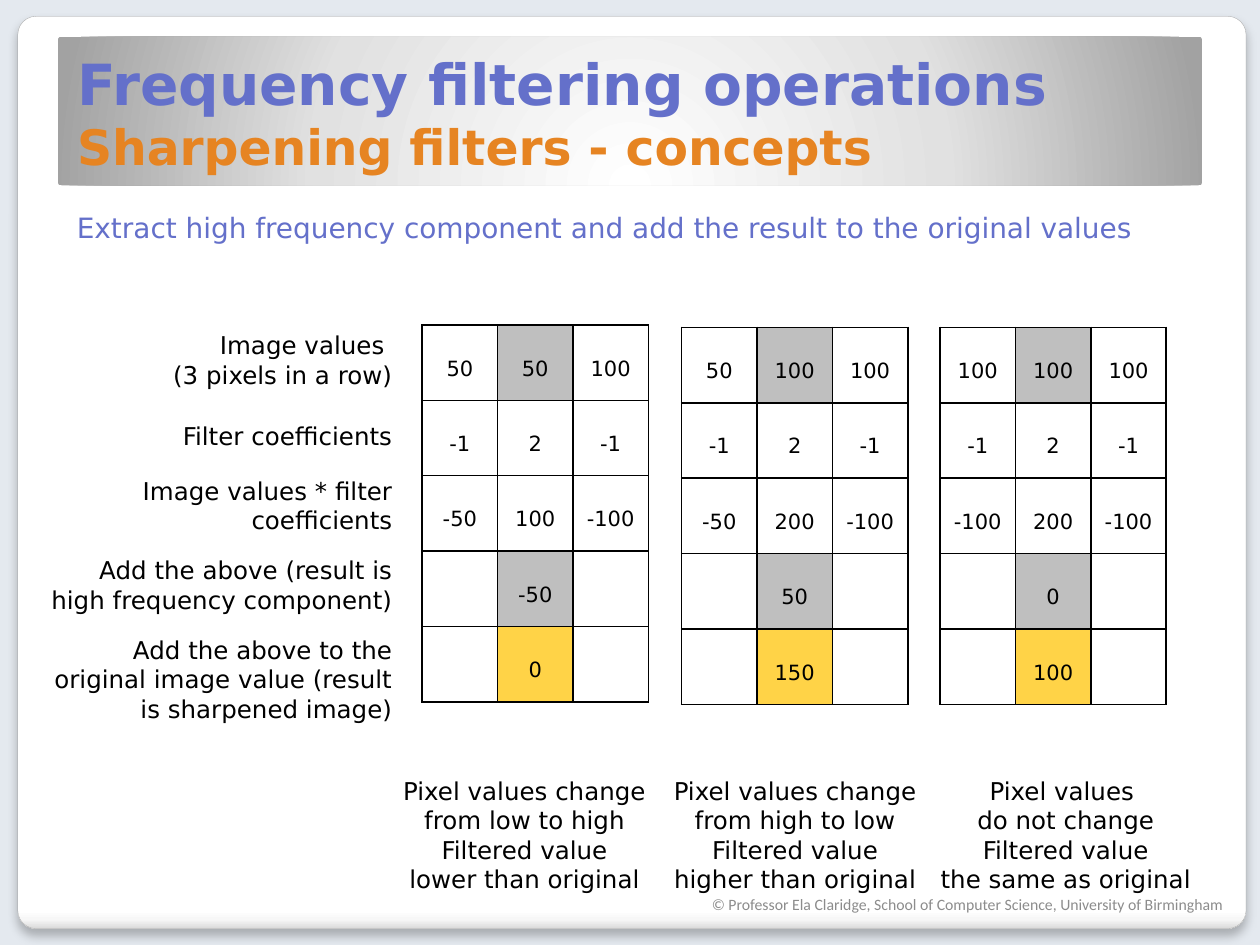
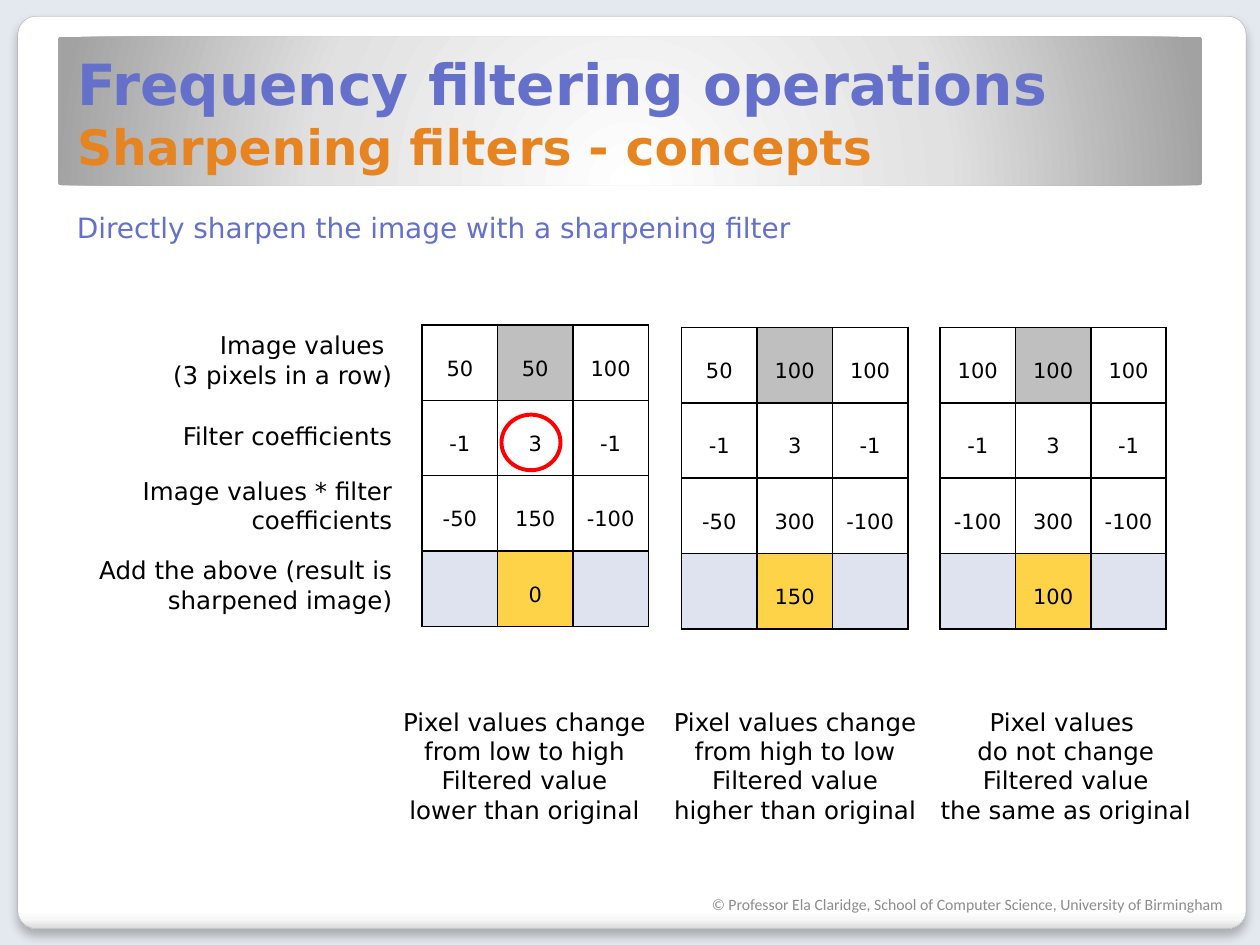
from pptx import Presentation
from pptx.dml.color import RGBColor
from pptx.enum.shapes import MSO_SHAPE as Preset
from pptx.enum.text import MSO_ANCHOR as Anchor, MSO_AUTO_SIZE as AutoSize, PP_ALIGN as Align
from pptx.oxml import parse_xml
from pptx.oxml.ns import nsdecls, qn
from pptx.util import Cm, Pt

BLACK = RGBColor(0x00, 0x00, 0x00)
BACKDROP = RGBColor(0xE4, 0xE9, 0xEF)
CARD_EDGE = RGBColor(0xA4, 0xA4, 0xA4)
BLUE = RGBColor(0x64, 0x70, 0xCA)
ORANGE = RGBColor(0xE6, 0x84, 0x22)
GREY = RGBColor(0xBF, 0xBF, 0xBF)
YELLOW = RGBColor(0xFF, 0xD3, 0x47)
TINT = RGBColor(0x60, 0x76, 0xB4)
FOOTER_GREY = RGBColor(0x8C, 0x8C, 0x8C)
RED = RGBColor(0xFF, 0x00, 0x00)

FONT = "DejaVu Sans"
TITLE = {"name": FONT, "size": Pt(32.4), "bold": True, "color": BLUE}
SUBTITLE = {**TITLE, "size": Pt(27.9), "color": ORANGE}
LEAD = {"name": FONT, "size": Pt(16), "color": BLUE}
BODY = {"name": FONT, "size": Pt(14), "color": BLACK}
CELL = {"name": FONT, "size": Pt(12), "color": BLACK}
FOOTER = {"name": "Calibri", "size": Pt(9), "color": FOOTER_GREY}

CARD_STOPS = [(0, "FFFFFF"), (98, "FFFFFF"), (99, "F7F7F7"), (100, "DADADA")]
CARD_SHADE = '<a:lin ang="5400000" scaled="0"/>'
BAND_STOPS = [(0, "FFFFFF"), (55, "E1E1E1"), (100, "A2A2A2")]
BAND_SHADE = ('<a:path path="circle"><a:fillToRect l="50000" t="175000" '
              'r="50000" b="-75000"/></a:path>')
CARD_SHADOW = (f'<a:outerShdw {nsdecls("a")} blurRad="76200" dist="50800" dir="5400000" '
               'rotWithShape="0"><a:srgbClr val="000000"><a:alpha val="25000"/>'
               '</a:srgbClr></a:outerShdw>')

CELL_SIZE = 1.52
LABEL_RIGHT = 8.16
COPYRIGHT = "© Professor Ela Claridge, School of Computer Science, University of Birmingham"
TABLE_PLACES = [(8.51, 6.55), (13.74, 6.6), (18.95, 6.6)]
PIXEL_ROWS = [(50, 50, 100), (50, 100, 100), (100, 100, 100)]

CAPTIONS = [
    (7.87, 5.41, ["Pixel values change", "from low to high",
                  "Filtered value", "lower than original"]),
    (13.31, 5.44, ["Pixel values change", "from high to low",
                   "Filtered value", "higher than original"]),
    (18.69, 5.59, ["Pixel values ", "do not change",
                   "Filtered value", "the same as original"]),
]
SHARED_LABELS = [
    (6.53, 5.08, 1.45, ["Image values ", "(3 pixels in a row)"], False),
    (8.36, 4.78, 0.86, ["Filter coefficients"], False),
    (9.47, 6.32, 1.45, ["Image values * filter coefficients"], True),
]
EXTRACT_LABELS = SHARED_LABELS + [
    (11.07, 7.52, 1.45, ["Add the above (result is high frequency component)"], True),
    (12.67, 7.67, 2.06,
     ["Add the above to the original image value (result is sharpened image)"], True),
]
DIRECT_LABELS = SHARED_LABELS + [
    (11.07, 7.52, 1.45, ["Add the above (result is sharpened image)"], True),
]


def set_font(font, style):
    for name, value in style.items():
        if name == "color":
            font.color.rgb = value
        else:
            setattr(font, name, value)


def set_gradient(shape, stops, shade):
    shape.fill.background()
    marks = "".join(f'<a:gs pos="{position * 1000}"><a:srgbClr val="{color}"/></a:gs>'
                    for position, color in stops)
    properties = shape._element.spPr
    properties.replace(properties.find(qn("a:noFill")), parse_xml(
        f'<a:gradFill {nsdecls("a")} rotWithShape="1"><a:gsLst>{marks}</a:gsLst>'
        f'{shade}</a:gradFill>'))


def set_borders(cell):
    properties = cell._tc.get_or_add_tcPr()
    for side in ("lnL", "lnR", "lnT", "lnB"):
        properties.append(parse_xml(
            f'<a:{side} {nsdecls("a")} w="12700"><a:solidFill>'
            f'<a:srgbClr val="{BLACK}"/></a:solidFill></a:{side}>'))


def set_cell_fill(cell, color):
    if color is None:
        cell.fill.background()
        return
    cell.fill.solid()
    cell.fill.fore_color.rgb = color
    if color == TINT:
        value = next(cell._tc.tcPr.find(qn("a:solidFill")).iter(qn("a:srgbClr")))
        value.append(parse_xml(f'<a:alpha {nsdecls("a")} val="20000"/>'))


class Deck:
    def __init__(self):
        self.presentation = Presentation()
        self.presentation.slide_width = Cm(25.4)
        self.presentation.slide_height = Cm(19.05)
        self.slide = None

    def start_slide(self, heading, subheading, lead):
        self.slide = self.presentation.slides.add_slide(self.presentation.slide_layouts[5])
        self.slide.background.fill.solid()
        self.slide.background.fill.fore_color.rgb = BACKDROP
        card = self.shape(Preset.ROUNDED_RECTANGLE, 0.36, 0.33, 24.76, 18.39)
        card.adjustments[0] = 0.02
        set_gradient(card, CARD_STOPS, CARD_SHADE)
        card.line.color.rgb = CARD_EDGE
        card.line.width = Pt(0.16)
        card._element.spPr.find(qn("a:effectLst")).append(parse_xml(CARD_SHADOW))
        band = self.shape(Preset.ROUNDED_RECTANGLE, 1.17, 0.74, 23.06, 3)
        band.adjustments[0] = 0.02
        set_gradient(band, BAND_STOPS, BAND_SHADE)
        self.title(heading, subheading)
        self.text(1.3, 4.11, 22.1, 0.94, [lead], LEAD, wrap=False)
        footer = self.text(14.1, 18.04, 10.95, 0.6, [COPYRIGHT], FOOTER)
        footer.text_frame.margin_top = 0

    def title(self, heading, subheading):
        title = self.slide.shapes.title
        title.left, title.top, title.width, title.height = Cm(1.3), Cm(0.74), Cm(22.73), Cm(2.92)
        self.slide.shapes._spTree.append(title._element)
        frame = title.text_frame
        frame.auto_size = AutoSize.NONE
        frame.vertical_anchor = Anchor.BOTTOM
        paragraph = frame.paragraphs[0]
        paragraph.alignment = Align.LEFT
        run = paragraph.add_run()
        run.text = heading
        set_font(run.font, TITLE)
        paragraph.add_line_break()
        run = paragraph.add_run()
        run.text = subheading
        set_font(run.font, SUBTITLE)

    def shape(self, preset, left, top, width, height):
        shape = self.slide.shapes.add_shape(preset, Cm(left), Cm(top), Cm(width), Cm(height))
        shape.shadow.inherit = False
        shape.fill.background()
        shape.line.fill.background()
        return shape

    def text(self, left, top, width, height, lines, style, alignment=Align.LEFT, wrap=True):
        box = self.slide.shapes.add_textbox(Cm(left), Cm(top), Cm(width), Cm(height))
        frame = box.text_frame
        frame.word_wrap = wrap
        for index, line in enumerate(lines):
            paragraph = frame.add_paragraph() if index else frame.paragraphs[0]
            paragraph.alignment = alignment
            run = paragraph.add_run()
            run.text = line
            set_font(run.font, style)
        return box

    def labels(self, labels):
        for top, width, height, lines, wrap in labels:
            self.text(LABEL_RIGHT - width, top, width, height, lines, BODY, Align.RIGHT, wrap)

    def captions(self, top):
        for left, width, lines in CAPTIONS:
            self.text(left, top, width, 2.64, lines, BODY, Align.CENTER, wrap=False)

    def table(self, left, top, rows, fills):
        frame = self.slide.shapes.add_table(
            len(rows), 3, Cm(left), Cm(top), Cm(3 * CELL_SIZE), Cm(len(rows) * CELL_SIZE))
        table = frame.table
        table.first_row = table.horz_banding = False
        for row_index, row in enumerate(rows):
            for column_index, value in enumerate(row):
                cell = table.cell(row_index, column_index)
                cell.vertical_anchor = Anchor.MIDDLE
                cell.margin_top = cell.margin_bottom = Cm(0.11)
                cell.margin_left = cell.margin_right = Cm(0.23)
                set_borders(cell)
                set_cell_fill(cell, fills[row_index][column_index])
                paragraph = cell.text_frame.paragraphs[0]
                paragraph.alignment = Align.CENTER
                paragraph.line_spacing = 1.5
                set_font(paragraph.font, CELL)
                if value is not None:
                    run = paragraph.add_run()
                    run.text = str(value)
                    set_font(run.font, CELL)

    def filter_tables(self, center_weight, fills, add_to_image):
        weights = (-1, center_weight, -1)
        for (left, top), pixels in zip(TABLE_PLACES, PIXEL_ROWS):
            products = [pixel * weight for pixel, weight in zip(pixels, weights)]
            total = sum(products)
            rows = [pixels, weights, products, (None, total, None)]
            if add_to_image:
                rows.append((None, pixels[1] + total, None))
            self.table(left, top, rows, fills)


def main():
    deck = Deck()
    plain = (None, None, None)
    grey_center = (None, GREY, None)
    yellow_center = (None, YELLOW, None)
    heading = ("Frequency filtering operations", "Sharpening filters - concepts")

    deck.start_slide(
        *heading, "Extract high frequency component and add the result to the original values")
    deck.filter_tables(2, [grey_center, plain, plain, grey_center, yellow_center], True)
    deck.labels(EXTRACT_LABELS)
    deck.captions(15.52)

    deck.start_slide(*heading, "Directly sharpen the image with a sharpening filter")
    deck.filter_tables(3, [grey_center, plain, plain, (TINT, YELLOW, TINT)], False)
    deck.labels(DIRECT_LABELS)
    deck.captions(14.12)
    ring = deck.shape(Preset.OVAL, 10.11, 8.36, 1.19, 1.12)
    ring.line.color.rgb = RED
    ring.line.width = Pt(2.25)

    deck.presentation.save("out.pptx")


if __name__ == "__main__":
    main()
